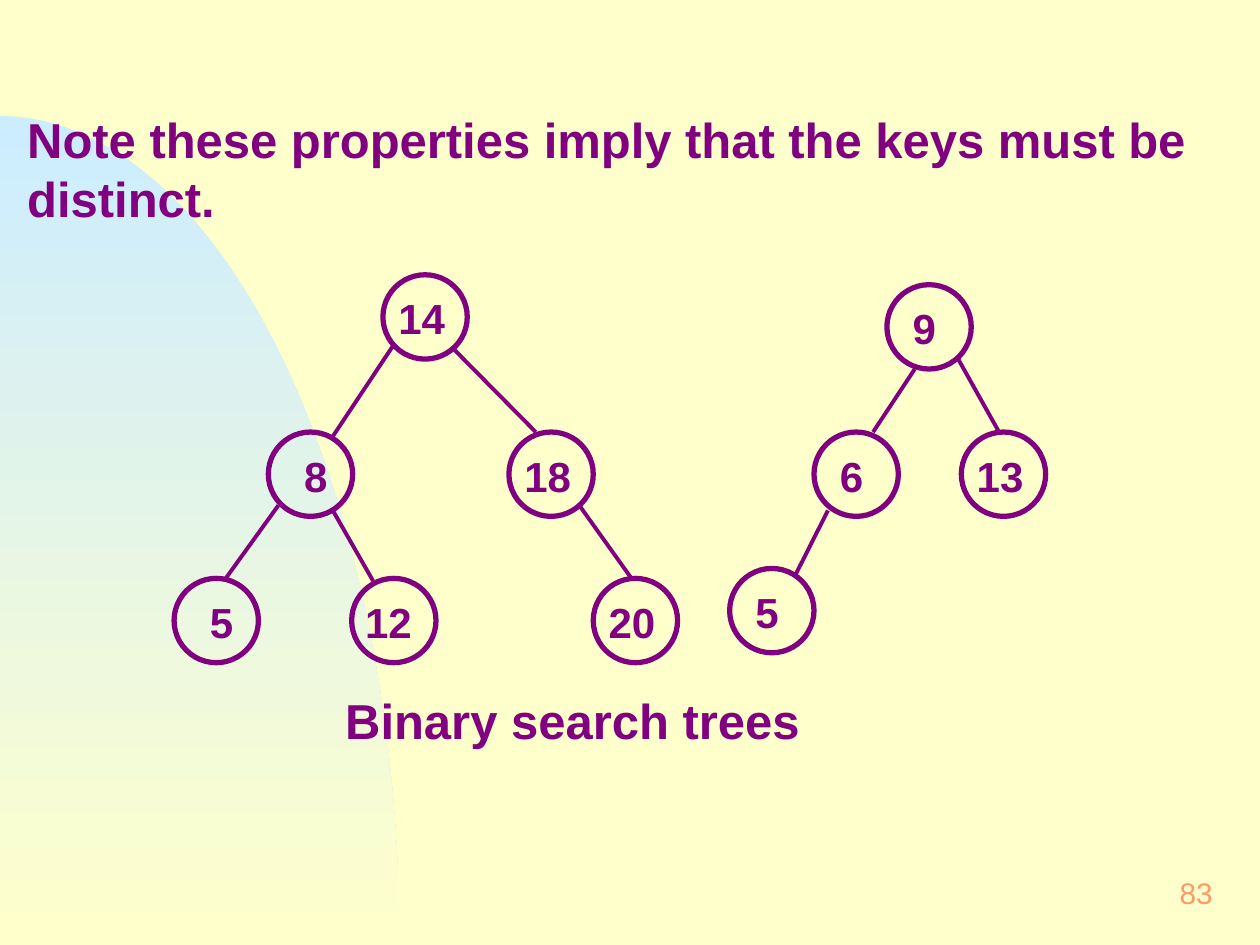
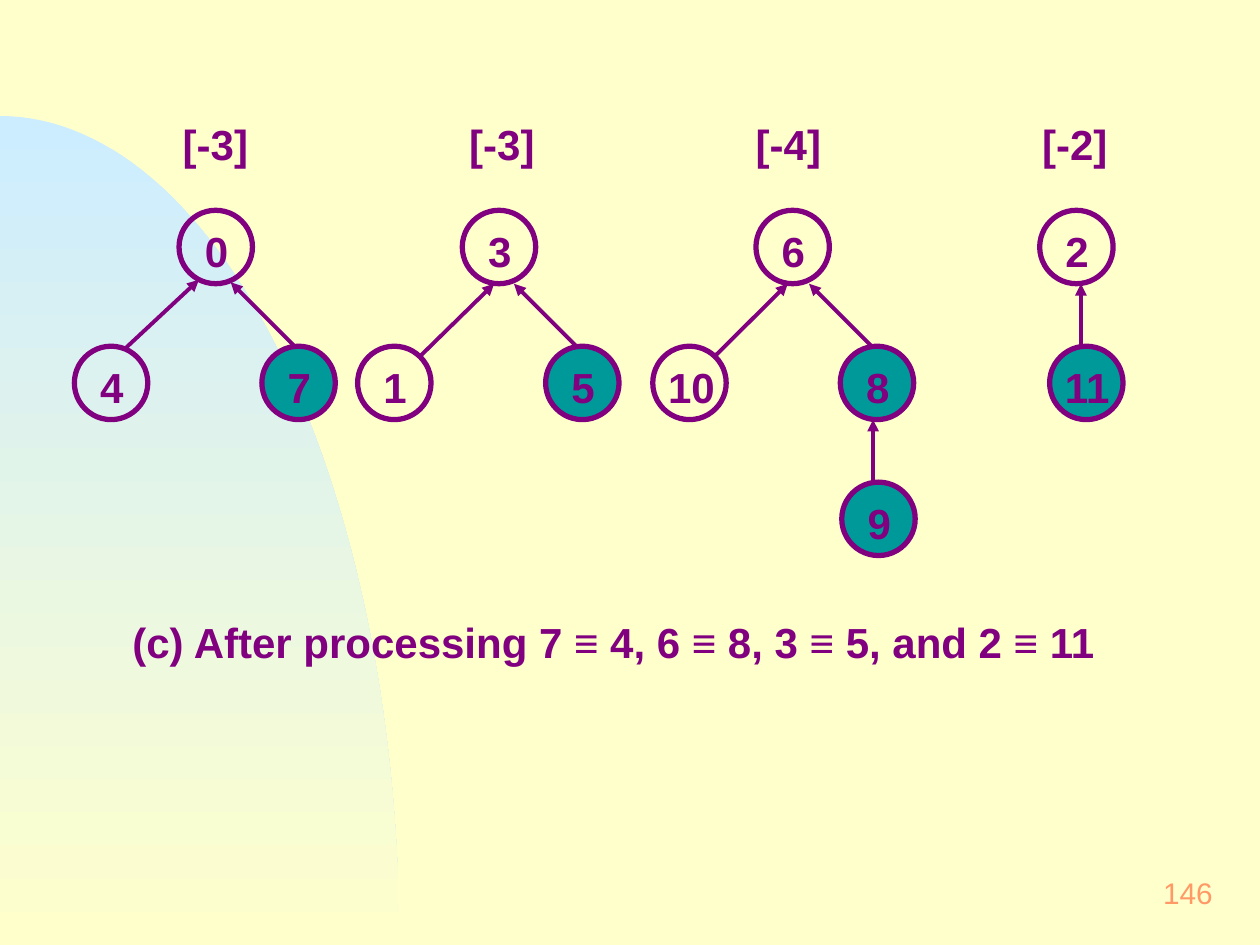
from dataclasses import dataclass
from math import cos, pi, sin

from lxml import etree
from pptx import Presentation
from pptx.dml.color import RGBColor
from pptx.enum.shapes import MSO_CONNECTOR, MSO_SHAPE
from pptx.enum.text import MSO_ANCHOR, PP_ALIGN
from pptx.oxml.ns import qn
from pptx.slide import Slide
from pptx.text.text import TextFrame
from pptx.util import Cm, Pt

CREAM = RGBColor(0xFF, 0xFF, 0xCC)
SKY = RGBColor(0xCC, 0xEC, 0xFF)
PURPLE = RGBColor(0x80, 0x00, 0x80)
TEAL = RGBColor(0x00, 0x99, 0x99)
ORANGE = RGBColor(0xFF, 0x99, 0x66)
FONT = "Arial"

ELLIPSE = MSO_SHAPE.OVAL
STRAIGHT = MSO_CONNECTOR.STRAIGHT
LEFT, CENTER, RIGHT = PP_ALIGN.LEFT, PP_ALIGN.CENTER, PP_ALIGN.RIGHT
TOP, MIDDLE = MSO_ANCHOR.TOP, MSO_ANCHOR.MIDDLE

SLIDE_WIDTH, SLIDE_HEIGHT = 25.4, 19.05
ARC_WIDTH, ARC_HEIGHT, ARC_STEPS = 8.05, 16.71, 60
LABEL_HEIGHT = 1.32
DIGIT_INDENT = 0.21


@dataclass(frozen=True)
class Node:
    key: str
    left: float
    top: float
    merged: bool = False
    extra_indent: float = 0


@dataclass(frozen=True)
class Edge:
    x1: float
    y1: float
    x2: float
    y2: float


@dataclass(frozen=True)
class Forest:
    nodes: list[Node]
    edges: list[Edge]
    diameter: float
    label_drop: float
    arrows: bool = False


SEARCH_ROWS = (5.54, 8.71, 11.66)
SEARCH_TREES = Forest(
    nodes=[
        Node("14", 7.72, SEARCH_ROWS[0]),
        Node("8", 5.41, SEARCH_ROWS[1], extra_indent=0.2),
        Node("18", 10.26, SEARCH_ROWS[1]),
        Node("5", 3.51, SEARCH_ROWS[2], extra_indent=0.2),
        Node("12", 7.09, SEARCH_ROWS[2], extra_indent=-0.04),
        Node("20", 11.96, SEARCH_ROWS[2]),
        Node("9", 17.88, 5.74),
        Node("6", 16.41, SEARCH_ROWS[1]),
        Node("13", 19.38, SEARCH_ROWS[1]),
        Node("5", 14.71, 11.46),
    ],
    edges=[
        Edge(7.95, 6.93, 6.68, 8.84),
        Edge(10.8, 8.71, 9.12, 7.01),
        Edge(5.61, 10.19, 4.55, 11.66),
        Edge(7.52, 11.71, 6.68, 10.24),
        Edge(11.68, 10.19, 12.73, 11.66),
        Edge(18.44, 7.44, 17.6, 8.71),
        Edge(19.3, 7.21, 20.14, 8.71),
        Edge(16.05, 11.56, 16.69, 10.29),
    ],
    diameter=1.7,
    label_drop=0.21,
)

UNION_ROWS = [4.24 + 2.74 * level for level in range(3)]
UNION_TREES = Forest(
    nodes=[
        Node("0", 3.61, UNION_ROWS[0]),
        Node("4", 1.5, UNION_ROWS[1]),
        Node("7", 5.28, UNION_ROWS[1], merged=True),
        Node("3", 9.32, UNION_ROWS[0]),
        Node("1", 7.21, UNION_ROWS[1]),
        Node("5", 11, UNION_ROWS[1], merged=True),
        Node("6", 15.24, UNION_ROWS[0]),
        Node("10", 13.16, UNION_ROWS[1]),
        Node("8", 16.94, UNION_ROWS[1], merged=True),
        Node("9", 16.97, UNION_ROWS[2], merged=True),
        Node("2", 20.96, UNION_ROWS[0]),
        Node("11", 21.16, UNION_ROWS[1], merged=True),
    ],
    edges=[
        Edge(4.01, 5.64, 2.54, 7.01),
        Edge(4.65, 5.69, 5.92, 6.96),
        Edge(9.96, 5.72, 8.46, 7.19),
        Edge(10.36, 5.72, 11.63, 6.99),
        Edge(15.88, 5.72, 14.4, 7.19),
        Edge(16.31, 5.72, 17.58, 6.99),
        Edge(17.6, 8.46, 17.6, 9.73),
        Edge(21.79, 5.72, 21.79, 6.99),
    ],
    diameter=1.48,
    label_drop=0.15,
    arrows=True,
)

# Root counts by table column
COUNTS = {0: "[-3]", 3: "[-3]", 6: "[-4]", 9: "[-2]"}
COUNT_COLUMNS = 11


def write(frame: TextFrame, text: str, size: float, color: RGBColor = PURPLE,
          bold: bool = True, align: PP_ALIGN = LEFT) -> None:
    paragraph = frame.paragraphs[0]
    paragraph.alignment = align
    run = paragraph.add_run()
    run.text = text
    run.font.name = FONT
    run.font.size = Pt(size)
    run.font.bold = bold
    run.font.color.rgb = color


def add_text(slide: Slide, text: str, left: float, top: float, width: float,
             height: float, size: float = 24, inset: float = 0.31,
             color: RGBColor = PURPLE, bold: bool = True,
             align: PP_ALIGN = LEFT, anchor: MSO_ANCHOR = TOP) -> None:
    frame = slide.shapes.add_textbox(Cm(left), Cm(top), Cm(width), Cm(height)).text_frame
    frame.word_wrap = True
    frame.vertical_anchor = anchor
    frame.margin_left = frame.margin_right = Cm(inset)
    frame.margin_top = frame.margin_bottom = Cm(inset / 2)
    write(frame, text, size, color, bold, align)


def add_arc(slide: Slide) -> None:
    """Draw the fading quarter ellipse at the lower left."""
    angles = [pi / 2 * step / ARC_STEPS for step in range(ARC_STEPS + 1)]
    rim = [(Cm(ARC_WIDTH * sin(a)), Cm(SLIDE_HEIGHT - ARC_HEIGHT * cos(a))) for a in angles]
    builder = slide.shapes.build_freeform(*rim[0])
    builder.add_line_segments(rim[1:] + [(0, Cm(SLIDE_HEIGHT))], close=True)
    arc = builder.convert_to_shape()
    arc.shadow.inherit = False
    arc.line.fill.background()
    arc.fill.gradient()
    arc.fill.gradient_angle = 270
    for stop, color, position in zip(arc.fill.gradient_stops, (SKY, CREAM), (0, 1)):
        stop.color.rgb = color
        stop.position = position


def add_base_slide(prs: Presentation, number: str) -> Slide:
    slide = prs.slides.add_slide(prs.slide_layouts[6])
    add_arc(slide)
    add_text(slide, number, 19.48, 17.35, 5.28, 1.27, size=17, color=ORANGE,
             bold=False, align=RIGHT, anchor=MIDDLE)
    return slide


def add_node(slide: Slide, node: Node, forest: Forest) -> None:
    circle = slide.shapes.add_shape(ELLIPSE, Cm(node.left), Cm(node.top),
                                    Cm(forest.diameter), Cm(forest.diameter))
    circle.shadow.inherit = False
    if node.merged:
        circle.fill.solid()
        circle.fill.fore_color.rgb = TEAL
    else:
        circle.fill.background()
    circle.line.color.rgb = PURPLE
    circle.line.width = Pt(3)
    single = len(node.key) == 1
    indent = (DIGIT_INDENT if single else 0) + node.extra_indent
    add_text(slide, node.key, node.left + indent, node.top + forest.label_drop,
             1.2 if single else 1.8, LABEL_HEIGHT)


def add_edge(slide: Slide, edge: Edge, arrow: bool) -> None:
    link = slide.shapes.add_connector(STRAIGHT, Cm(edge.x1), Cm(edge.y1),
                                      Cm(edge.x2), Cm(edge.y2))
    link.line.color.rgb = PURPLE
    link.line.width = Pt(2.25)
    if arrow:
        etree.SubElement(link.get_or_add_ln(), qn("a:headEnd"), type="triangle")
    etree.SubElement(link.element.spPr, qn("a:effectLst"))


def add_forest(slide: Slide, forest: Forest) -> None:
    for node in forest.nodes:
        add_node(slide, node, forest)
    for edge in forest.edges:
        add_edge(slide, edge, forest.arrows)


def add_counts(slide: Slide) -> None:
    """Add the borderless row of node counts above the roots."""
    table = slide.shapes.add_table(1, COUNT_COLUMNS, Cm(3.38), Cm(2.34),
                                   Cm(21.18), Cm(1.27)).table
    table.first_row = table.horz_banding = False
    for column, cell in enumerate(table.rows[0].cells):
        cell.fill.background()
        properties = cell._tc.get_or_add_tcPr()
        for position, side in enumerate(("lnL", "lnR", "lnT", "lnB")):
            border = etree.Element(qn(f"a:{side}"))
            etree.SubElement(border, qn("a:noFill"))
            properties.insert(position, border)
        if column in COUNTS:
            write(cell.text_frame, COUNTS[column], 24, align=CENTER)


def main() -> None:
    prs = Presentation()
    prs.slide_width, prs.slide_height = Cm(SLIDE_WIDTH), Cm(SLIDE_HEIGHT)
    backdrop = prs.slide_master.background.fill
    backdrop.solid()
    backdrop.fore_color.rgb = CREAM

    search = add_base_slide(prs, "83")
    add_text(search, "Note these properties imply that the keys must be distinct.",
             0.3, 2.08, 24.33, 2.64, size=28, inset=0.25)
    add_forest(search, SEARCH_TREES)
    add_text(search, "Binary search trees", 6.65, 13.77, 11.18, 1.5, size=28)

    union = add_base_slide(prs, "146")
    add_counts(union)
    add_text(union, "(c) After processing 7 ≡ 4, 6 ≡ 8, 3 ≡ 5, and 2 ≡ 11",
             2.36, 12.27, 21.16, LABEL_HEIGHT)
    add_forest(union, UNION_TREES)

    prs.save("out.pptx")


if __name__ == "__main__":
    main()
